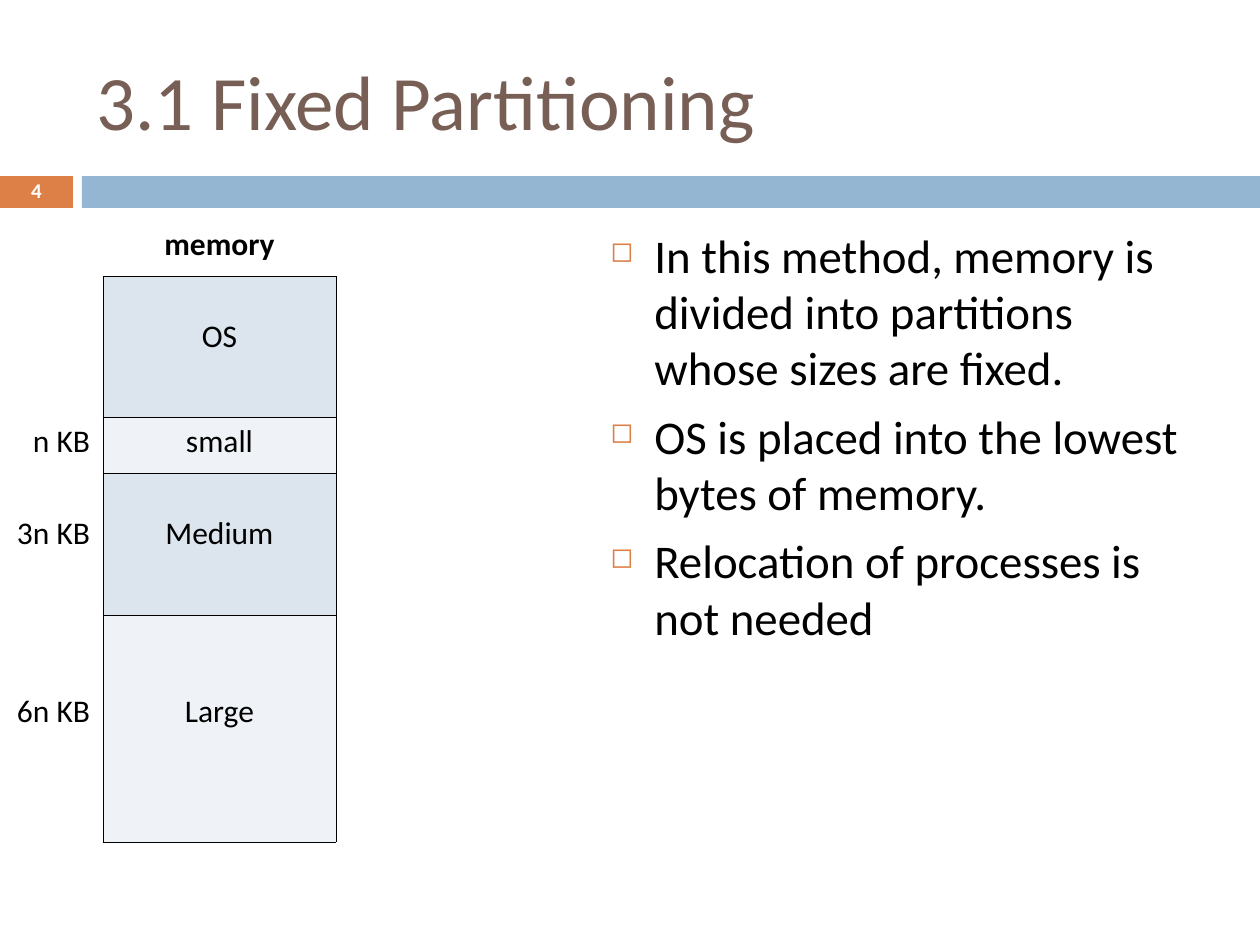
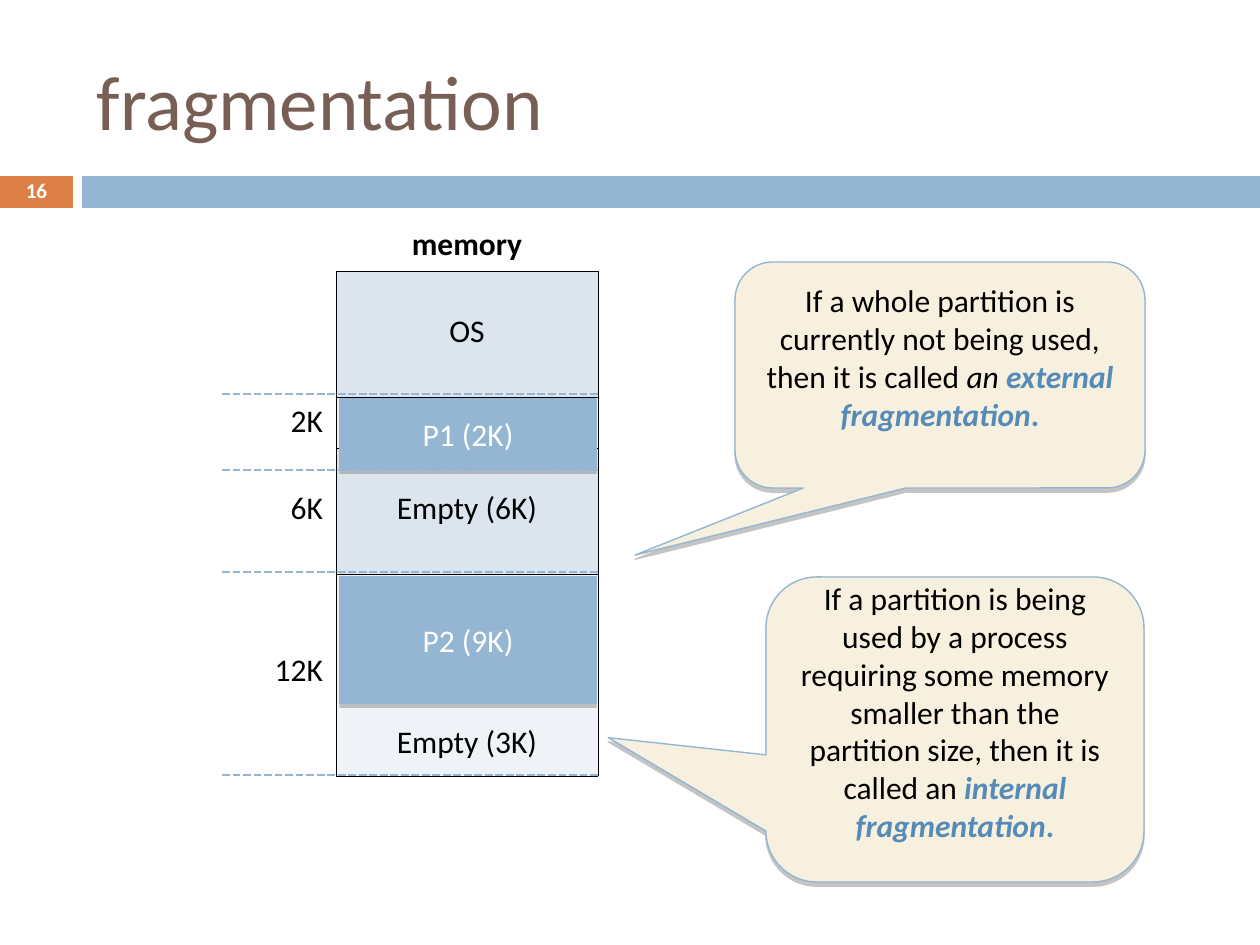
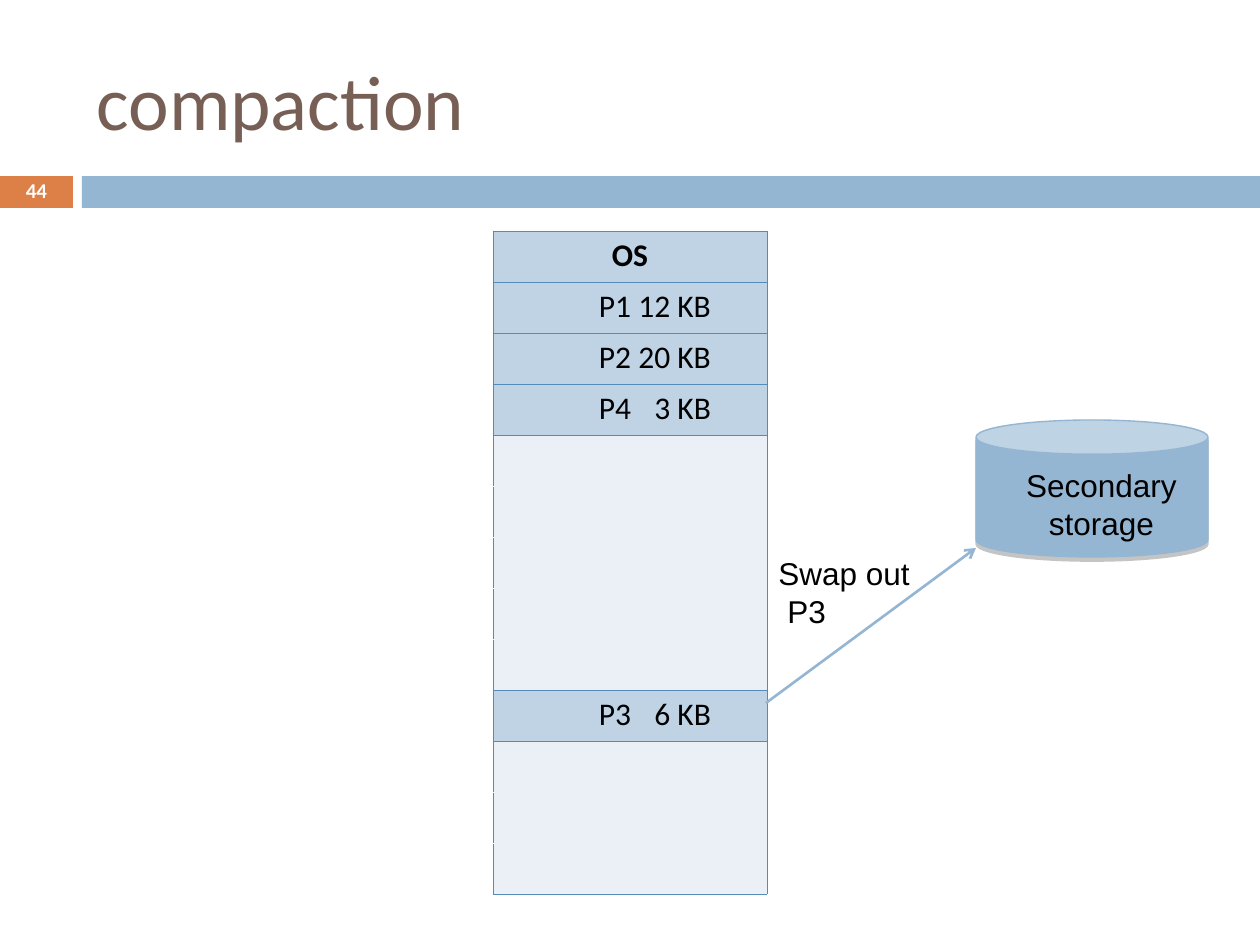
from dataclasses import dataclass, replace
from typing import NamedTuple, Optional, Sequence

from lxml.etree import SubElement
from pptx import Presentation
from pptx.dml.color import RGBColor
from pptx.enum.dml import MSO_LINE_DASH_STYLE as Dash
from pptx.enum.shapes import MSO_CONNECTOR as Connector, MSO_SHAPE as Preset
from pptx.enum.text import MSO_ANCHOR as Anchor, PP_ALIGN as Align
from pptx.oxml.ns import qn
from pptx.presentation import Presentation as PresentationType
from pptx.shapes.autoshape import Shape
from pptx.slide import Slide
from pptx.table import Table, _Cell as Cell
from pptx.text.text import TextFrame, _Paragraph as Paragraph
from pptx.util import Emu, Pt

PX_PER_INCH = 126
EMU_PER_INCH = 914400

BLACK = RGBColor(0x00, 0x00, 0x00)
WHITE = RGBColor(0xFF, 0xFF, 0xFF)
BROWN = RGBColor(0x77, 0x5F, 0x55)
ORANGE = RGBColor(0xDD, 0x80, 0x47)
BLUE = RGBColor(0x94, 0xB6, 0xD2)
STRONG_BLUE = RGBColor(0x55, 0x8B, 0xB8)
BLOCK_DARK = RGBColor(0xDC, 0xE5, 0xEE)
BLOCK_LIGHT = RGBColor(0xEF, 0xF3, 0xF7)
USED = RGBColor(0xBF, 0xD3, 0xE4)
FREE = RGBColor(0xEA, 0xF0, 0xF6)
CREAM = RGBColor(0xF7, 0xF0, 0xDE)

BAND_TOP, BAND_HEIGHT = 176, 32
INSET_X, INSET_Y = 13, 6
LINE_DROP = 36
HAIRLINE = Pt(0.45)


class Box(NamedTuple):
    left: int
    top: int
    width: int
    height: int


@dataclass(frozen=True)
class Style:
    size: float = 18
    color: RGBColor = BLACK
    bold: bool = False
    italic: bool = False
    font: str = "Calibri"


class Span(NamedTuple):
    text: str
    style: Style


class Partition(NamedTuple):
    """One memory row; the drops count text lines left free above each text."""
    height: int
    label: str
    name: str
    label_drop: int = 0
    name_drop: int = 0


class Process(NamedTuple):
    name: str
    size: str


class Callout(NamedTuple):
    box: Box
    tip: tuple[float, float]
    spans: list[Span]


BODY = Style()
BOLD = Style(bold=True)
ON_BLUE = Style(color=WHITE)
ARIAL = Style(font="Arial")
TERM = Style(color=STRONG_BLUE, bold=True, italic=True)


def px(length: int) -> Emu:
    return Emu(round(length * EMU_PER_INCH / PX_PER_INCH))


def px_box(box: Box) -> list[Emu]:
    return [px(length) for length in box]


def add_run(paragraph: Paragraph, text: str, style: Style) -> None:
    run = paragraph.add_run()
    run.text = text
    font = run.font
    font.name, font.size = style.font, Pt(style.size)
    font.bold, font.italic = style.bold, style.italic
    font.color.rgb = style.color


def write_lines(frame: TextFrame, lines: Sequence[str], style: Style,
                align: Align = Align.LEFT) -> None:
    """Write one paragraph for each line."""
    frame.word_wrap = True
    for index, line in enumerate(lines):
        paragraph = frame.paragraphs[0] if index == 0 else frame.add_paragraph()
        paragraph.alignment = align
        add_run(paragraph, line, style)


def add_text(slide: Slide, box: Box, lines: Sequence[str], style: Style,
             align: Align = Align.LEFT) -> TextFrame:
    frame = slide.shapes.add_textbox(*px_box(box)).text_frame
    write_lines(frame, lines, style, align)
    return frame


def add_filled(slide: Slide, preset: Preset, box: Box, fill: RGBColor,
               raised: bool = False) -> Shape:
    """Add a flat shape, or a raised one with a blue outline and a shadow below."""
    shape = slide.shapes.add_shape(preset, *px_box(box))
    shape.shadow.inherit = False
    shape.fill.solid()
    shape.fill.fore_color.rgb = fill
    shape.text_frame.vertical_anchor = Anchor.MIDDLE
    if not raised:
        shape.line.fill.background()
        return shape
    shape.line.color.rgb = BLUE
    shape.line.width = Pt(0.79)
    effects = shape._element.spPr.find(qn("a:effectLst"))
    shadow = SubElement(effects, qn("a:outerShdw"), blurRad="0",
                        dist=str(Pt(2.4)), dir="5400000", rotWithShape="0")
    color = SubElement(shadow, qn("a:srgbClr"), val="808080")
    SubElement(color, qn("a:alpha"), val="45000")
    return shape


def add_line(slide: Slide, start: tuple[int, int], end: tuple[int, int],
             dash: Optional[Dash] = None, arrow: bool = False) -> None:
    connector = slide.shapes.add_connector(
        Connector.STRAIGHT, *[px(length) for length in (*start, *end)])
    connector.line.color.rgb = BLUE
    connector.line.width = Pt(1.5)
    if dash is not None:
        connector.line.dash_style = dash
    properties = connector._element.spPr
    if arrow:
        SubElement(properties.find(qn("a:ln")), qn("a:tailEnd"), type="arrow")
    SubElement(properties, qn("a:effectLst"))


def add_base_slide(presentation: PresentationType, title: str, number: int) -> Slide:
    """Add a slide with its title, the two bands and the slide number."""
    slide = presentation.slides.add_slide(presentation.slide_layouts[5])
    add_filled(slide, Preset.RECTANGLE, Box(82, BAND_TOP, 1178, BAND_HEIGHT), BLUE)
    number_band = add_filled(slide, Preset.RECTANGLE,
                             Box(0, BAND_TOP, 73, BAND_HEIGHT), ORANGE)
    write_lines(number_band.text_frame, [str(number)],
                Style(size=12, color=WHITE, bold=True), Align.CENTER)
    number_band.text_frame.paragraphs[0].line_spacing = 0.8

    placeholder = slide.shapes.title
    placeholder.left, placeholder.top, placeholder.width, placeholder.height = (
        px_box(Box(84, 32, 1124, 136)))
    placeholder.text_frame.vertical_anchor = Anchor.MIDDLE
    write_lines(placeholder.text_frame, [title], Style(size=44, color=BROWN))
    return slide


def add_plain_table(slide: Slide, left: int, top: int, columns: Sequence[int],
                    rows: Sequence[int]) -> Table:
    box = Box(left, top, sum(columns), sum(rows))
    table = slide.shapes.add_table(len(rows), len(columns), *px_box(box)).table
    table.first_row = table.horz_banding = False
    for column, width in zip(table.columns, columns):
        column.width = px(width)
    for row, height in zip(table.rows, rows):
        row.height = px(height)
    return table


def format_cell(cell: Cell, fill: RGBColor, left: RGBColor, right: RGBColor,
                top: RGBColor, bottom: RGBColor) -> None:
    """Set the fill, the inner margins and the colours of the four borders."""
    properties = cell._tc.get_or_add_tcPr()
    for side, color in zip("LRTB", (left, right, top, bottom)):
        line = SubElement(properties, qn(f"a:ln{side}"), w=str(HAIRLINE))
        SubElement(SubElement(line, qn("a:solidFill")), qn("a:srgbClr"), val=str(color))
    cell.fill.solid()
    cell.fill.fore_color.rgb = fill
    cell.margin_left = cell.margin_right = px(INSET_X)
    cell.margin_top = cell.margin_bottom = px(INSET_Y)


def write_cell(cell: Cell, text: str, style: Style, align: Align, drop: int = 0) -> None:
    if text:
        cell.margin_top = px(INSET_Y + drop * LINE_DROP)
        write_lines(cell.text_frame, [text], style, align)


def add_memory_map(slide: Slide, left: int, columns: tuple[int, int],
                   header_height: int, partitions: Sequence[Partition]) -> None:
    """Draw the memory column with the partition sizes to its left."""
    rows = [Partition(header_height, "", "memory"), *partitions]
    table = add_plain_table(slide, left, 220, columns, [row.height for row in rows])
    for index, row in enumerate(rows):
        label, block = table.cell(index, 0), table.cell(index, 1)
        header = index == 0
        edge = WHITE if header else BLACK
        block_fill = WHITE if header else (BLOCK_LIGHT, BLOCK_DARK)[index in (1, 3)]
        format_cell(label, WHITE, WHITE, edge, WHITE, WHITE)
        format_cell(block, block_fill, edge, edge, edge, BLACK)
        write_cell(label, row.label, BODY, Align.RIGHT, row.label_drop)
        write_cell(block, row.name, BOLD if header else BODY, Align.CENTER, row.name_drop)


def add_bullets(slide: Slide, box: Box, lines: Sequence[str]) -> None:
    frame = add_text(slide, box, lines, Style(size=26.8))
    for index, paragraph in enumerate(frame.paragraphs):
        properties = paragraph._p.get_or_add_pPr()
        properties.set("marL", str(px(44)))
        properties.set("indent", str(px(-44)))
        color = SubElement(properties, qn("a:buClr"))
        SubElement(color, qn("a:srgbClr"), val=str(ORANGE))
        SubElement(properties, qn("a:buSzPct"), val="60000")
        SubElement(properties, qn("a:buChar"), char="◻")
        if index:
            paragraph.space_before = Pt(7)


def add_callout(slide: Slide, callout: Callout) -> None:
    shape = add_filled(slide, Preset.ROUNDED_RECTANGULAR_CALLOUT, callout.box,
                       CREAM, raised=True)
    shape.adjustments[0], shape.adjustments[1] = callout.tip
    frame = shape.text_frame
    frame.word_wrap = True
    frame.margin_top, frame.margin_bottom = px(0), px(LINE_DROP)
    paragraph = frame.paragraphs[0]
    paragraph.alignment = Align.CENTER
    for span in callout.spans:
        add_run(paragraph, span.text, span.style)


def build_fixed_partitioning(presentation: PresentationType) -> None:
    slide = add_base_slide(presentation, "3.1 Fixed Partitioning", 4)
    add_bullets(slide, Box(598, 220, 610, 620), [
        "In this method, memory is divided into partitions whose sizes are fixed.",
        "OS is placed into the lowest bytes of memory.",
        "Relocation of processes is not needed",
    ])
    add_memory_map(slide, 0, (103, 233), 56, [
        Partition(141, "", "OS", 0, 1),
        Partition(56, "n KB", "small"),
        Partition(142, "3n KB", "Medium", 1, 1),
        Partition(227, "6n KB", "Large", 2, 2),
    ])


def build_fragmentation(presentation: PresentationType) -> None:
    slide = add_base_slide(presentation, "fragmentation", 16)
    add_memory_map(slide, 220, (116, 262), 51, [
        Partition(126, "", "OS", 0, 1),
        Partition(51, "2K", ""),
        Partition(126, "6K", "Empty (6K)", 1, 1),
        Partition(202, "12K", "Empty (3K)", 2, 4),
    ])
    for name, top, height in (("P2 (9K)", 577, 126), ("P1 (2K)", 399, 70)):
        process = add_filled(slide, Preset.RECTANGLE, Box(340, top, 256, height),
                             BLUE, raised=True)
        write_lines(process.text_frame, [name], ON_BLUE, Align.CENTER)

    full_stop = Span(".", replace(TERM, italic=False))
    for callout in (
        Callout(Box(735, 262, 410, 226), (-0.744, 0.797), [
            Span("If a whole partition is currently not being used, "
                 "then it is called ", BODY),
            Span("an ", Style(italic=True)),
            Span("external fragmentation", TERM),
            full_stop,
        ]),
        Callout(Box(766, 577, 378, 305), (-0.917, 0.027), [
            Span("If a partition is being used by a process requiring some memory "
                 "smaller than the partition size, then it is called an ", BODY),
            Span("internal fragmentation", TERM),
            full_stop,
        ]),
    ):
        add_callout(slide, callout)
    for y in (394, 470, 572, 775):
        add_line(slide, (598, y), (220, y), dash=Dash.SQUARE_DOT)


def add_compacted_memory(slide: Slide, rows: Sequence[Optional[Process]]) -> None:
    """Draw equal rows; neighbouring free rows show no line between them."""
    table = add_plain_table(slide, 493, 231, [274], [51] * len(rows))
    last = len(rows) - 1
    for index, process in enumerate(rows):
        cell = table.cell(index, 0)
        top_line = index == 0 or process or rows[index - 1]
        bottom_line = index == last or process or rows[index + 1]
        format_cell(cell, USED if process else FREE, STRONG_BLUE, STRONG_BLUE,
                    STRONG_BLUE if top_line else FREE,
                    STRONG_BLUE if bottom_line else FREE)
        if process is None:
            continue
        if not process.size:
            write_cell(cell, process.name, BOLD, Align.CENTER)
            continue
        cell.margin_left = px(106)
        write_cell(cell, f"{process.name}\t{process.size}", BODY, Align.LEFT)
        properties = cell.text_frame.paragraphs[0]._p.get_or_add_pPr()
        tabs = SubElement(properties, qn("a:tabLst"))
        SubElement(tabs, qn("a:tab"), pos=str(px(112)), algn="r")


def build_compaction(presentation: PresentationType) -> None:
    slide = add_base_slide(presentation, "compaction", 44)
    add_compacted_memory(slide, [
        Process("OS", ""),
        Process("P1", "12 KB"),
        Process("P2", "20 KB"),
        Process("P4", "3 KB"),
        *[None] * 5,
        Process("P3", "6 KB"),
        *[None] * 3,
    ])
    add_filled(slide, Preset.CAN, Box(976, 420, 232, 137), BLUE, raised=True)
    swap = add_text(slide, Box(766, 548, 210, 88), ["Swap out", "P3"], ARIAL)
    swap.paragraphs[1]._p.get_or_add_pPr().set("marL", str(px(9)))
    add_text(slide, Box(1012, 460, 179, 88), ["Secondary", "storage"], ARIAL, Align.CENTER)
    add_line(slide, (766, 703), (976, 548), arrow=True)


def main() -> None:
    presentation = Presentation()
    presentation.slide_width, presentation.slide_height = px(1260), px(945)
    build_fixed_partitioning(presentation)
    build_fragmentation(presentation)
    build_compaction(presentation)
    presentation.save("out.pptx")


if __name__ == "__main__":
    main()
